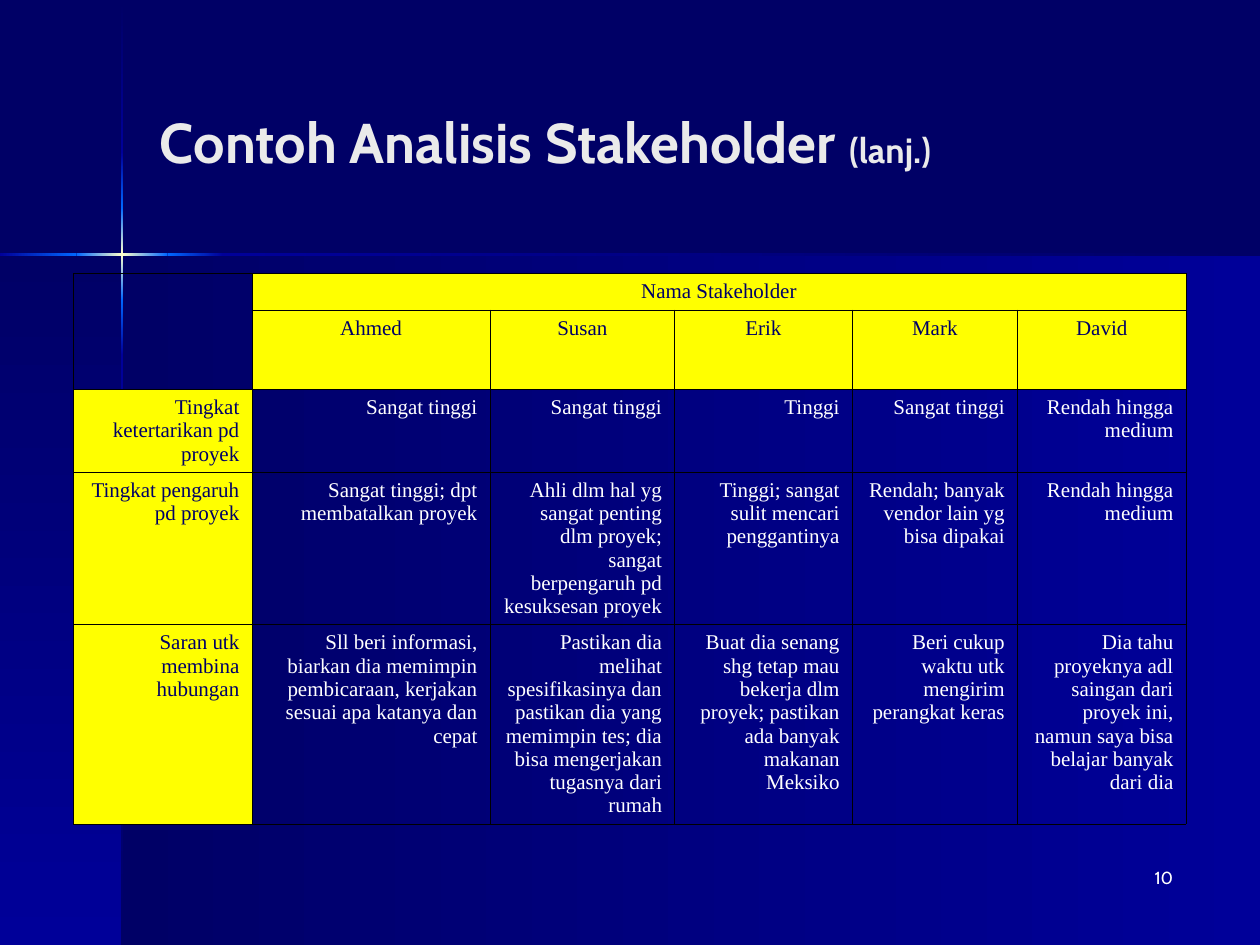
from itertools import pairwise

from lxml import etree
from pptx import Presentation
from pptx.dml.color import RGBColor
from pptx.enum.shapes import MSO_SHAPE
from pptx.enum.text import MSO_ANCHOR, PP_ALIGN
from pptx.oxml.ns import qn
from pptx.util import Cm, Pt

RECTANGLE = MSO_SHAPE.RECTANGLE
MIDDLE = MSO_ANCHOR.MIDDLE
LEFT, CENTER, RIGHT = PP_ALIGN.LEFT, PP_ALIGN.CENTER, PP_ALIGN.RIGHT

NAVY = RGBColor(0x00, 0x00, 0x66)
ROYAL = RGBColor(0x00, 0x00, 0x99)
AZURE = RGBColor(0x00, 0x66, 0xFF)
CREAM = RGBColor(0xFF, 0xFF, 0xCC)
YELLOW = RGBColor(0xFF, 0xFF, 0x00)
SILVER = RGBColor(0xEA, 0xEA, 0xEA)
WHITE = RGBColor(0xFF, 0xFF, 0xFF)
BLACK = RGBColor(0x00, 0x00, 0x00)
HEAD_FONT, TABLE_FONT = "Cabin", "Times New Roman"

# Content
TITLE = [("Contoh Analisis Stakeholder ", 32), ("(lanj.)", 20)]
PAGE_NUMBER = "10"
ROWS = [
    ["", "Nama Stakeholder", "", "", "", ""],
    ["", "Ahmed", "Susan", "Erik", "Mark", "David"],
    ["Tingkat ketertarikan pd proyek", "Sangat tinggi", "Sangat tinggi",
     "Tinggi", "Sangat tinggi", "Rendah hingga medium"],
    ["Tingkat pengaruh pd proyek",
     "Sangat tinggi; dpt membatalkan proyek",
     "Ahli dlm hal yg sangat penting dlm proyek; sangat berpengaruh pd kesuksesan proyek",
     "Tinggi; sangat sulit mencari penggantinya",
     "Rendah; banyak vendor lain yg bisa dipakai",
     "Rendah hingga medium"],
    ["Saran utk membina hubungan",
     "Sll beri informasi, biarkan dia memimpin pembicaraan, kerjakan sesuai apa katanya dan cepat",
     "Pastikan dia melihat spesifikasinya dan pastikan dia yang memimpin tes; dia bisa mengerjakan tugasnya dari rumah",
     "Buat dia senang shg tetap mau bekerja dlm proyek; pastikan ada banyak makanan Meksiko",
     "Beri cukup waktu utk mengirim perangkat keras",
     "Dia tahu proyeknya adl saingan dari proyek ini, namun saya bisa belajar banyak dari dia"],
]
HEADER_ROWS = 2

# Layout, in centimetres
WIDTH, HEIGHT = 25.4, 19.05
CROSS_X, CROSS_Y, BEAM = 2.46, 5.13, 0.05
COLUMN_WIDTHS = [3.6, 4.8, 3.72, 3.58, 3.33, 3.4]
ROW_HEIGHTS = [0.73, 1.6, 1.67, 2.62, 4.01]
BEAM_Y = [0.03, 3.07, 4.19, 6.05, 7.16, HEIGHT]
BEAM_X = [0, 1.54, 3.38, 4.5, WIDTH]
BEAM_COLORS = [(NAVY, ROYAL), (ROYAL, AZURE), (AZURE, CREAM, AZURE),
               (AZURE, ROYAL), (ROYAL, NAVY)]
ACROSS, DOWN = 0, 270


def add_gradient(page, left, top, width, height, colors, angle):
    panel = page.shapes.add_shape(RECTANGLE, Cm(left), Cm(top), Cm(width), Cm(height))
    panel.shadow.inherit = False
    panel.line.fill.background()
    panel.fill.gradient()
    panel.fill.gradient_angle = angle
    stops = next(panel._element.spPr.iter(qn("a:gsLst")))
    for stop in list(stops):
        stops.remove(stop)
    for index, color in enumerate(colors):
        position = str(100000 * index // (len(colors) - 1))
        stop = etree.SubElement(stops, qn("a:gs"), pos=position)
        etree.SubElement(stop, qn("a:srgbClr"), val=str(color))


def add_span(para, text, size, font, color, bold=False):
    span = para.add_run()
    span.text = text
    span.font.size = Pt(size)
    span.font.name = font
    span.font.color.rgb = color
    span.font.bold = bold


def set_borders(cell):
    properties = cell._tc.get_or_add_tcPr()
    for index, side in enumerate(("a:lnL", "a:lnR", "a:lnT", "a:lnB")):
        line = etree.Element(qn(side), w=str(Pt(0.45)))
        fill = etree.SubElement(line, qn("a:solidFill"))
        etree.SubElement(fill, qn("a:srgbClr"), val=str(BLACK))
        properties.insert(index, line)


def add_background(page):
    page.background.fill.solid()
    page.background.fill.fore_color.rgb = NAVY
    depth = HEIGHT - CROSS_Y
    add_gradient(page, CROSS_X, CROSS_Y, WIDTH - CROSS_X, depth, (NAVY, ROYAL), ACROSS)
    add_gradient(page, 0, CROSS_Y, CROSS_X, depth, (NAVY, ROYAL), DOWN)
    for (start, end), colors in zip(pairwise(BEAM_Y), BEAM_COLORS):
        add_gradient(page, CROSS_X - BEAM / 2, start, BEAM, end - start, colors, DOWN)
    # The left arm is cut short by the page edge
    for (start, end), colors in zip(pairwise(BEAM_X), BEAM_COLORS[1:]):
        add_gradient(page, start, CROSS_Y - BEAM / 2, end - start, BEAM, colors, ACROSS)


def add_title(page):
    title = page.shapes.title
    title.left, title.top, title.width, title.height = Cm(2.97), Cm(0.84), Cm(20.96), Cm(3.99)
    title.text_frame.vertical_anchor = MIDDLE
    para = title.text_frame.paragraphs[0]
    para.alignment = LEFT
    for text, size in TITLE:
        add_span(para, text, size, HEAD_FONT, SILVER, bold=True)


def add_stakeholders(page):
    frame = page.shapes.add_table(len(ROWS), len(COLUMN_WIDTHS), Cm(1.48), Cm(5.52),
                                  Cm(sum(COLUMN_WIDTHS)), Cm(sum(ROW_HEIGHTS)))
    table = frame.table
    table.first_row = table.horz_banding = False
    for column, width in zip(table.columns, COLUMN_WIDTHS):
        column.width = Cm(width)
    for row, height in zip(table.rows, ROW_HEIGHTS):
        row.height = Cm(height)
    table.cell(0, 0).merge(table.cell(1, 0))
    table.cell(0, 1).merge(table.cell(0, len(COLUMN_WIDTHS) - 1))

    for row, texts in enumerate(ROWS):
        for column, text in enumerate(texts):
            cell = table.cell(row, column)
            in_header = row < HEADER_ROWS
            is_label = in_header != (column == 0)
            if is_label:
                cell.fill.solid()
                cell.fill.fore_color.rgb = YELLOW
            else:
                cell.fill.background()
            set_borders(cell)
            if text:
                para = cell.text_frame.paragraphs[0]
                para.alignment = CENTER if in_header else RIGHT
                add_span(para, text, 12, TABLE_FONT, NAVY if is_label else WHITE)


def add_page_number(page):
    box = page.shapes.add_textbox(Cm(18.62), Cm(17.35), Cm(5.28), Cm(1.27))
    box.text_frame.word_wrap = True
    para = box.text_frame.paragraphs[0]
    para.alignment = RIGHT
    add_span(para, PAGE_NUMBER, 10, HEAD_FONT, WHITE)


def main():
    deck = Presentation()
    deck.slide_width, deck.slide_height = Cm(WIDTH), Cm(HEIGHT)
    page = deck.slides.add_slide(deck.slide_layouts[5])
    add_background(page)
    add_title(page)
    add_stakeholders(page)
    add_page_number(page)
    deck.save("out.pptx")


if __name__ == "__main__":
    main()
